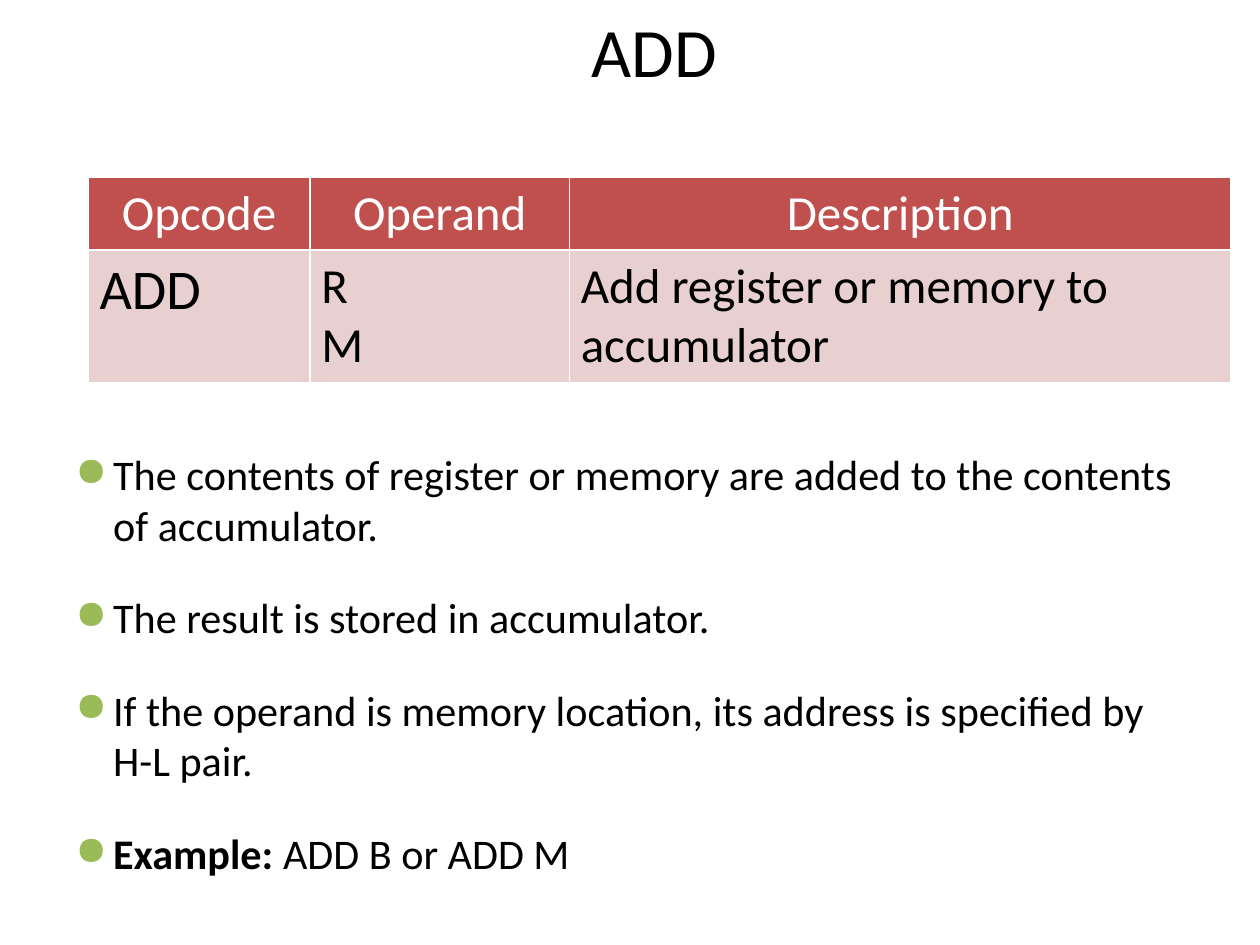
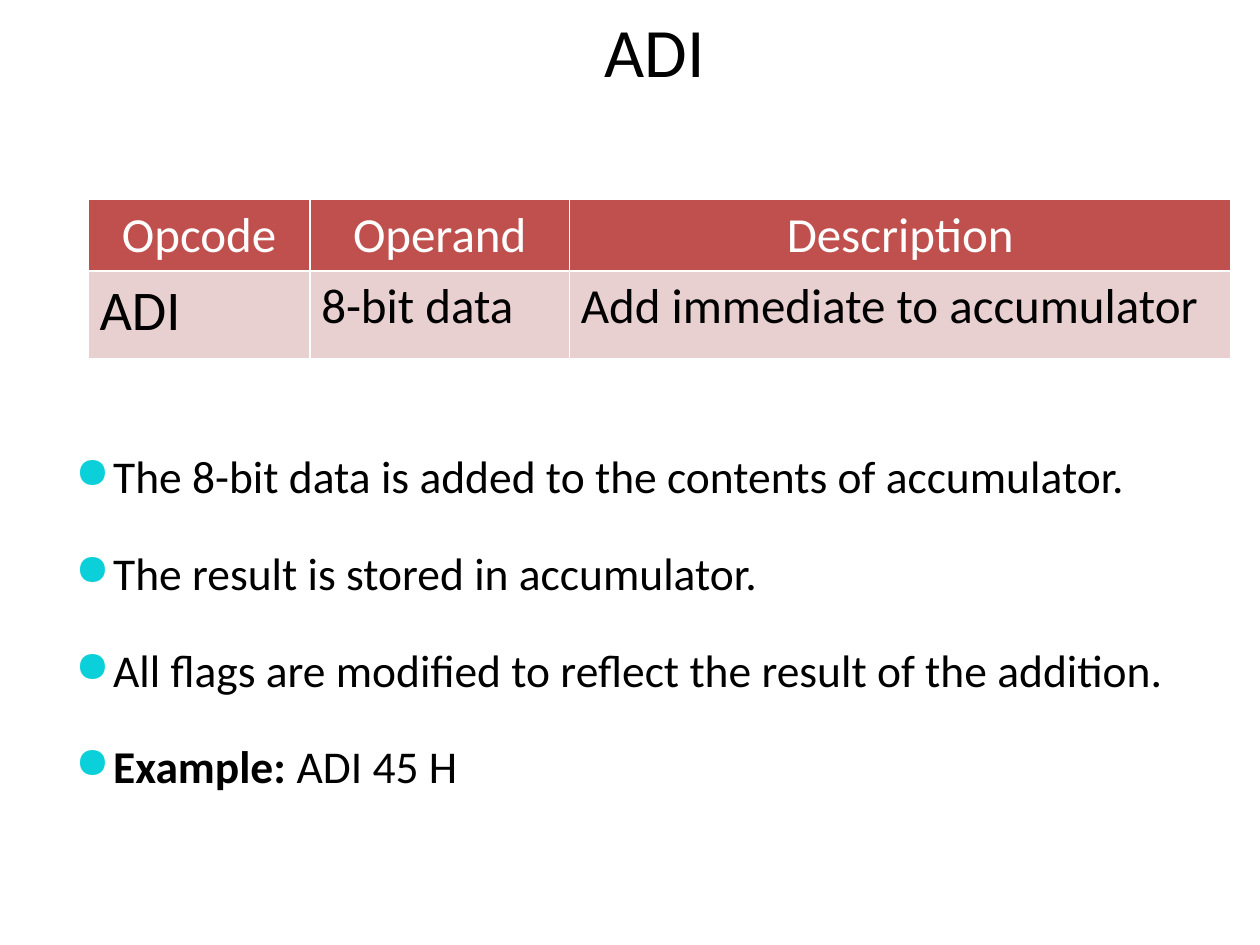
from dataclasses import dataclass

from lxml.etree import SubElement
from pptx import Presentation
from pptx.dml.color import RGBColor
from pptx.enum.text import MSO_ANCHOR, PP_ALIGN
from pptx.oxml.ns import qn
from pptx.slide import Slide
from pptx.util import Inches, Pt


@dataclass(frozen=True)
class Theme:
    font: str = "Calibri"
    black: str = "000000"
    white: str = "FFFFFF"
    red: str = "C0504D"
    pink: str = "E8D0D0"
    green: str = "9BBB59"
    cyan: str = "0BD0D9"
    title: float = 39.6
    code: float = 32
    cell: float = 28
    gap: float = 24


@dataclass(frozen=True)
class Point:
    text: str
    lead: str = ""


@dataclass(frozen=True)
class Page:
    code: str
    operand: list[str]
    action: str
    top: float
    height: float
    size: float
    bullet: str
    points: list[Point]


THEME = Theme()
HEADS = ["Opcode", "Operand", "Description"]
WIDTHS = [1.76, 2.06, 5.25]
HEAD_ROW = 0.57
STORED = Point("The result is stored in accumulator.")

PAGES = [
    Page("ADD", ["R", "M"], "Add register or memory to accumulator",
         1.41, 1.04, 24.1, THEME.green, [
             Point("The contents of register or memory are added to the "
                   "contents of accumulator."),
             STORED,
             Point("If the operand is memory location, its address is "
                   "specified by H-L pair."),
             Point(" ADD B or ADD M", "Example:"),
         ]),
    Page("ADI", ["8-bit data"], "Add immediate to accumulator",
         1.58, 0.7, 26, THEME.cyan, [
             Point("The 8-bit data is added to the contents of accumulator."),
             STORED,
             Point("All flags are modified to reflect the result of the "
                   "addition."),
             Point(" ADI 45 H", "Example:"),
         ]),
]


def write(para, text: str, *, size: float, color: str = THEME.black,
          bold: bool = False, align=PP_ALIGN.LEFT) -> None:
    para.alignment = align
    run = para.add_run()
    run.text = text
    font = run.font
    font.name = THEME.font
    font.size = Pt(size)
    font.bold = bold
    font.color.rgb = RGBColor.from_string(color)


def mark(para, color: str) -> None:
    props = para._p.get_or_add_pPr()
    props.set("marL", str(Inches(0.3)))
    props.set("indent", str(Inches(-0.3)))
    tint = SubElement(props, qn("a:buClr"))
    SubElement(tint, qn("a:srgbClr"), val=color)
    SubElement(props, qn("a:buSzPct"), val="95000")
    SubElement(props, qn("a:buChar"), char="●")


def edge(cell) -> None:
    props = cell._tc.get_or_add_tcPr()
    for spot, side in enumerate(("a:lnL", "a:lnR", "a:lnT", "a:lnB")):
        line = props.makeelement(qn(side), {"w": str(Pt(1))})
        fill = SubElement(line, qn("a:solidFill"))
        SubElement(fill, qn("a:srgbClr"), val=THEME.white)
        props.insert(spot, line)


def add_box(slide: Slide, left: float, top: float, width: float,
            height: float):
    box = slide.shapes.add_textbox(
        Inches(left), Inches(top), Inches(width), Inches(height))
    box.text_frame.word_wrap = True
    return box.text_frame


def next_para(frame, index: int):
    return frame.add_paragraph() if index else frame.paragraphs[0]


def fill_cell(cell, lines: list[str], fill: str, **form) -> None:
    cell.fill.solid()
    cell.fill.fore_color.rgb = RGBColor.from_string(fill)
    edge(cell)
    cell.margin_left = cell.margin_right = Inches(0.09)
    for index, line in enumerate(lines):
        write(next_para(cell.text_frame, index), line, **form)


def add_title(slide: Slide, text: str) -> None:
    frame = add_box(slide, 0.62, 0, 9.15, 0.79)
    frame.vertical_anchor = MSO_ANCHOR.MIDDLE
    write(frame.paragraphs[0], text, size=THEME.title, align=PP_ALIGN.CENTER)


def add_grid(slide: Slide, page: Page) -> None:
    table = slide.shapes.add_table(
        2, len(HEADS), Inches(0.7), Inches(page.top), Inches(sum(WIDTHS)),
        Inches(HEAD_ROW + page.height)).table
    table.rows[0].height = Inches(HEAD_ROW)
    table.rows[1].height = Inches(page.height)
    body = [[page.code], page.operand, [page.action]]
    sizes = [THEME.code, THEME.cell, THEME.cell]
    for col, (head, width) in enumerate(zip(HEADS, WIDTHS)):
        table.columns[col].width = Inches(width)
        fill_cell(table.cell(0, col), [head], THEME.red, size=THEME.cell,
                  color=THEME.white, align=PP_ALIGN.CENTER)
        fill_cell(table.cell(1, col), body[col], THEME.pink, size=sizes[col])


def add_points(slide: Slide, page: Page) -> None:
    frame = add_box(slide, 0.5, 3.51, 9, 3.4)
    for index, point in enumerate(page.points):
        para = next_para(frame, index)
        mark(para, page.bullet)
        para.space_after = Pt(THEME.gap)
        if point.lead:
            write(para, point.lead, size=page.size, bold=True)
        write(para, point.text, size=page.size)


def main() -> None:
    deck = Presentation()
    deck.slide_width = Inches(10)
    deck.slide_height = Inches(7.5)
    for page in PAGES:
        slide = deck.slides.add_slide(deck.slide_layouts[6])
        add_grid(slide, page)
        add_points(slide, page)
        add_title(slide, page.code)
    deck.save("out.pptx")


if __name__ == "__main__":
    main()
